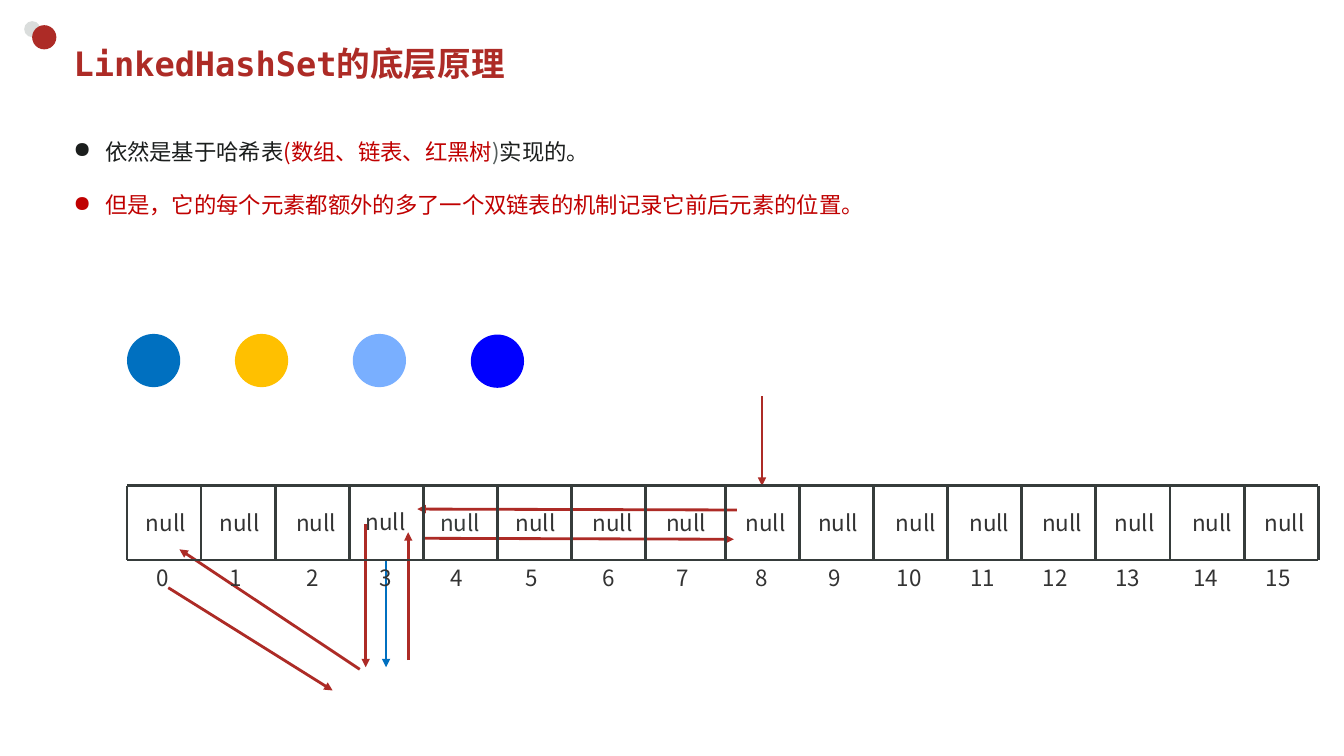
from lxml.etree import SubElement
from pptx import Presentation
from pptx.dml.color import RGBColor
from pptx.enum.shapes import MSO_CONNECTOR, MSO_SHAPE
from pptx.enum.text import MSO_ANCHOR, PP_ALIGN
from pptx.oxml.ns import qn
from pptx.util import Pt

RED, DARK, GRAY, BLUE = "AD2B26", "363C3B", "333333", "0070C0"
SC, JP = "Noto Sans CJK SC", "Noto Sans CJK JP"


def add_text(p, text, size=16, font=SC, east=SC, color=GRAY, bold=False):
    r = p.add_run()
    r.text = text
    r.font.size = Pt(size)
    r.font.bold = bold
    r.font.name = font
    r.font.color.rgb = RGBColor.from_string(color)
    SubElement(r.font._element, qn("a:ea"), typeface=east)


def add_line(x1, y1, x2, y2, color=DARK, width=2, arrow=False):
    c = s.shapes.add_connector(MSO_CONNECTOR.STRAIGHT, Pt(x1), Pt(y1), Pt(x2), Pt(y2))
    c.line.color.rgb = RGBColor.from_string(color)
    c.line.width = Pt(width)
    if arrow:
        SubElement(c.line._get_or_add_ln(), qn("a:tailEnd"), type="triangle")
    SubElement(c._element.spPr, qn("a:effectLst"))


prs = Presentation()
prs.slide_width, prs.slide_height = Pt(960), Pt(540)
s = prs.slides.add_slide(prs.slide_layouts[5])

title = s.shapes.title
title.left, title.top, title.width, title.height = Pt(45.4), Pt(26.6), Pt(846), Pt(37.4)
tf = title.text_frame
tf.vertical_anchor = MSO_ANCHOR.MIDDLE
p = tf.paragraphs[0]
p.alignment = PP_ALIGN.LEFT
add_text(p, "LinkedHashSet的底层原理", size=24, font="DejaVu Sans Mono", color=RED, bold=True)

circles = [
    (17.3, 15.1, 11.5, "DADDDC"),
    (23, 18, 17.3, RED),
    (90.7, 238.5, 38, BLUE),
    (167.8, 238.5, 38, "FFC000"),
    (252, 238.5, 38, "79AFFF"),
    (336.3, 239, 38, "0000FF"),
]
for x, y, d, color in circles:
    sp = s.shapes.add_shape(MSO_SHAPE.OVAL, Pt(x), Pt(y), Pt(d), Pt(d))
    sp.shadow.inherit = False
    sp.fill.solid()
    sp.fill.fore_color.rgb = RGBColor.from_string(color)
    sp.line.fill.background()

bullets = [
    [("依然是基于哈希表", "1B1E1D"), ("(数组、链表、红黑树", "C00000"), (")", "525B5A"), ("实现的。", "1B1E1D")],
    [("但是，它的每个元素都额外的多了一个双链表的机制记录它前后元素的位置。", "C00000")],
]
tf = s.shapes.add_textbox(Pt(45.4), Pt(75.6), Pt(653.8), Pt(118.8)).text_frame
tf.word_wrap = True
for i, runs in enumerate(bullets):
    p = tf.add_paragraph() if i else tf.paragraphs[0]
    p.line_spacing = 2
    pPr = p._p.get_or_add_pPr()
    pPr.set("marL", str(Pt(22.5)))
    pPr.set("indent", str(-Pt(22.5)))
    SubElement(pPr, qn("a:buChar"), char="●")
    for text, color in runs:
        add_text(p, text, font=JP, east=JP, color=color)

arrows = [
    (275.8, 400.3, 275.8, 476.6, BLUE, 1.5),
    (544.3, 283, 544.3, 347, RED, 1.5),
    (526.3, 364.3, 298.1, 363.6, RED, 2),
    (301.7, 384.5, 524.2, 385.2, RED, 2),
    (261.2, 374.4, 261.2, 476.6, RED, 2),
    (257, 478.1, 128.2, 392.4, RED, 2),
    (291.6, 471.6, 291.6, 380.2, RED, 2),
    (120.2, 419.8, 237.6, 493.2, RED, 2),
]
for x1, y1, x2, y2, color, width in arrows:
    add_line(x1, y1, x2, y2, color=color, width=width, arrow=True)

left, right, top, bottom, step = 90.7, 941.65, 347, 400, 52.95
for y in (top, bottom):
    add_line(left, y, right, y)
for i in range(17):
    x = left + step * i + (3.75 if i >= 8 else 0)
    add_line(x, top, x, bottom)

null_lefts = [97.2, 149.8, 204.5, 254.2, 307.4, 361.4, 416.2, 468.7,
              525.6, 577.4, 632.9, 685.4, 737.3, 789.1, 844.6, 896.4]
for i, x in enumerate(null_lefts):
    index_x = 264.2 if i == 3 else x + (7.2 if i < 10 else 0.6)
    labels = [
        ("null", x, 359.3 if i == 3 else 360, 43.2, DARK if i == 4 else GRAY),
        (str(i), index_x, 399.6, 23.8 if i < 10 else 33.1, GRAY),
    ]
    for text, label_x, y, width, color in labels:
        tf = s.shapes.add_textbox(Pt(label_x), Pt(y), Pt(width), Pt(26.6)).text_frame
        add_text(tf.paragraphs[0], text, color=color)

prs.save("out.pptx")
